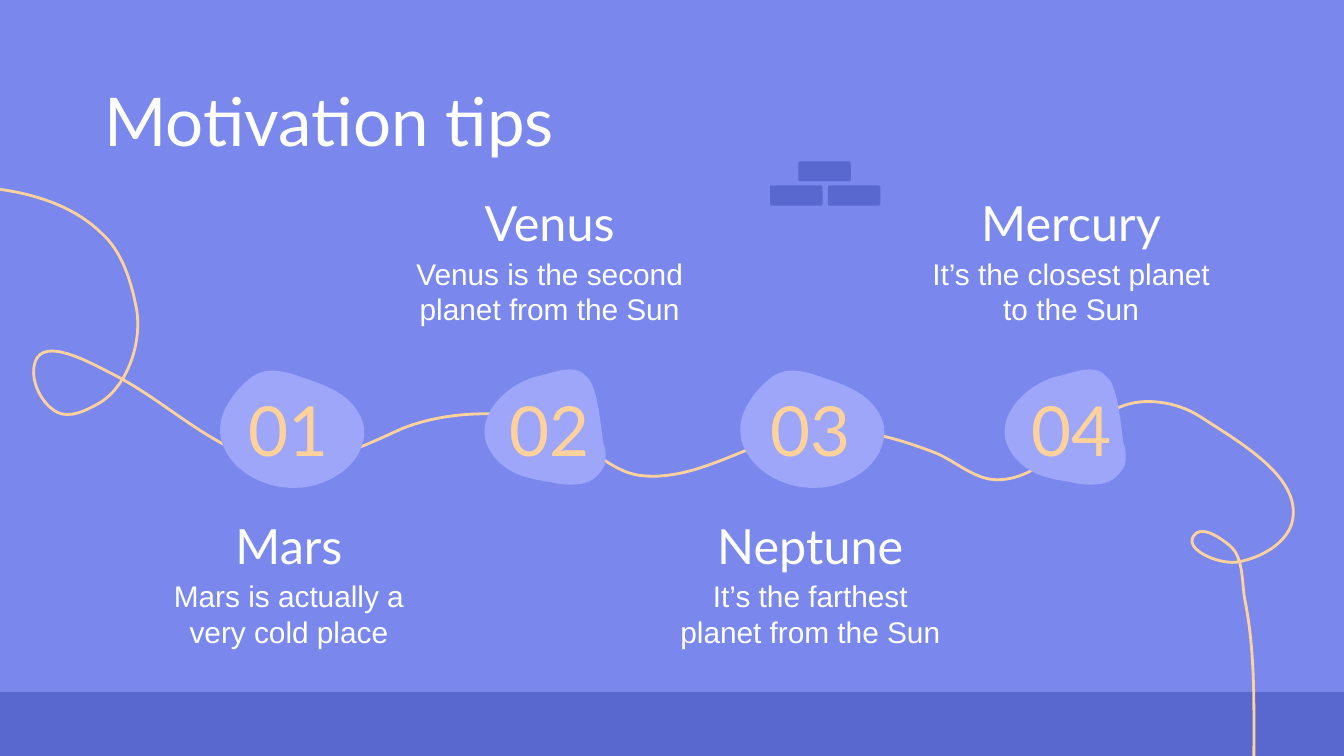
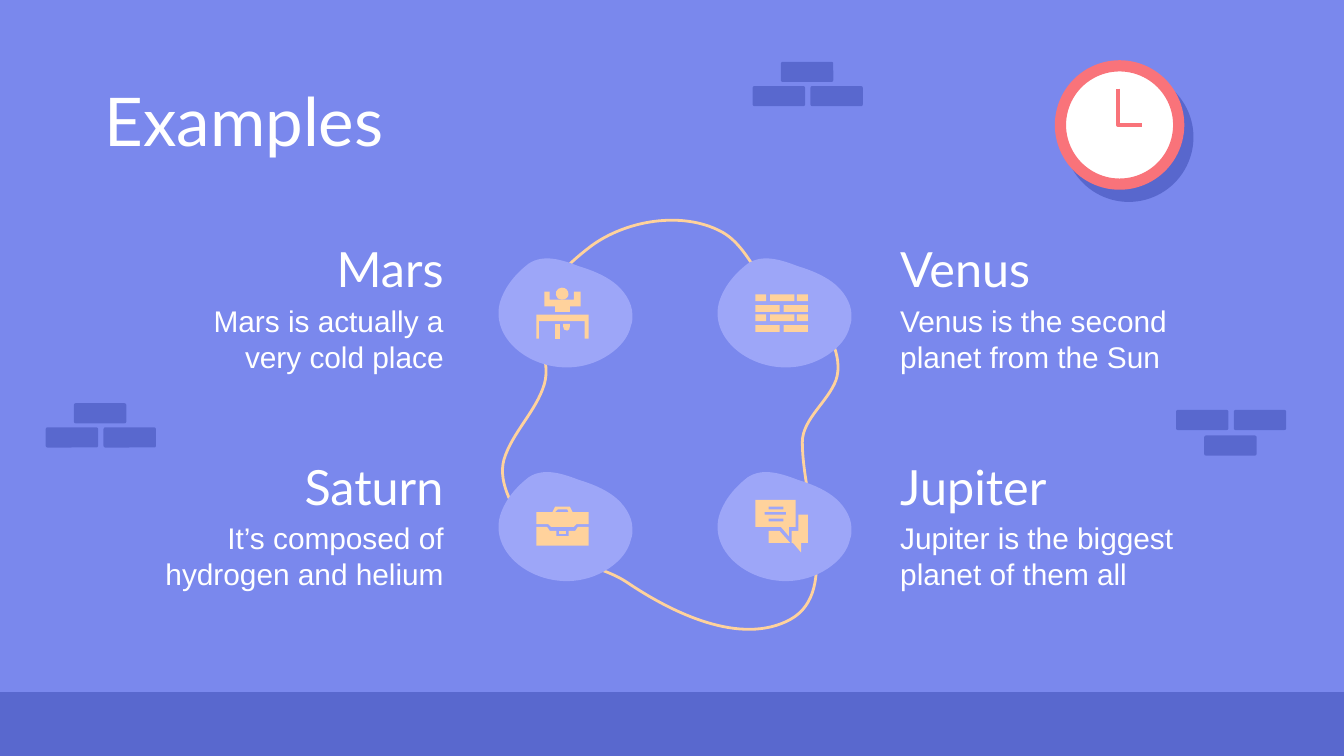
from lxml.etree import SubElement
from pptx import Presentation
from pptx.dml.color import RGBColor
from pptx.enum.shapes import MSO_SHAPE as SHAPE
from pptx.enum.text import MSO_ANCHOR as ANCHOR, PP_ALIGN as ALIGN
from pptx.oxml.ns import qn
from pptx.util import Inches, Pt

PERIWINKLE = RGBColor(0x7A, 0x88, 0xED)
INDIGO = RGBColor(0x3A, 0x4A, 0xB1)
LAVENDER = RGBColor(0x9D, 0xA6, 0xF8)
APRICOT = RGBColor(0xFF, 0xD2, 0x9C)
CORAL = RGBColor(0xF9, 0x73, 0x7A)
WHITE = RGBColor(0xFF, 0xFF, 0xFF)

TITLE = {"size": Pt(36), "name": "Lato"}
HEADING = {"size": Pt(26), "name": "Lato"}
NUMBER = {"size": Pt(37), "name": "Lato"}
BODY = {"size": Pt(16), "name": "Arial"}

# Outlines are flat x, y lists; curved ones hold a start and then Bezier triples.
OVAL_BLOB = [
    0, 0, -.1, .37, .46, .69, .87, .42, .96, .36, 1.03, .28, 1.05, .18,
    1.06, .16, 1.06, .13, 1.06, .1, 1.06, 0, .99, -.1, .91, -.16,
    .83, -.22, .73, -.26, .63, -.29, .5, -.34, .35, -.39, .23, -.31,
    .1, -.21, .03, -.1, 0, 0]
WEDGE_BLOB = [
    0, 0, -.02, -.02, -.03, -.03, -.05, -.05, -.14, -.12, -.29, -.05, -.39, -.03,
    -.64, .03, -.89, .3, -.74, .53, -.72, .57, -.68, .61, -.64, .64,
    -.54, .72, -.41, .74, -.28, .76, -.21, .78, -.14, .78, -.06, .77,
    .01, .76, .08, .7, .11, .63, .12, .58, .12, .52, .1, .47,
    .08, .36, .07, .13, 0, 0]
TIMELINE = [
    -.44, 1.38, -.03, 1.38, .45, 1.44, .75, 1.73, .9, 1.86, .97, 2.07, 1.01, 2.27,
    1.07, 2.53, .95, 2.89, .72, 3.01, .63, 3.06, .52, 3.11, .43, 3.07,
    .31, 3.01, .22, 2.83, .26, 2.7, .32, 2.49, .69, 2.71, .87, 2.8,
    1.23, 2.99, 1.54, 3.3, 1.93, 3.42, 2.27, 3.53, 2.66, 3.34, 2.99, 3.19,
    3.29, 3.07, 3.63, 3.06, 3.94, 3.1, 4.25, 3.14, 4.47, 3.51, 4.78, 3.54,
    5.2, 3.58, 5.58, 3.28, 6, 3.21, 6.32, 3.16, 6.65, 3.25, 6.96, 3.37,
    7.11, 3.43, 7.25, 3.57, 7.42, 3.57, 7.77, 3.57, 8.01, 3.18, 8.33, 3.03,
    8.51, 2.95, 8.76, 2.99, 8.93, 3.1, 9.22, 3.29, 9.71, 3.56, 9.61, 3.9,
    9.56, 4.05, 9.38, 4.15, 9.22, 4.18, 9.1, 4.21, 8.81, 4.1, 8.88, 3.99,
    8.93, 3.9, 9.08, 4, 9.15, 4.06, 9.25, 4.14, 9.24, 4.32, 9.26, 4.45,
    9.34, 4.84, 9.33, 5.23, 9.33, 5.63]
RING = [
    5.97, 2.34, 5.68, 2.28, 5.62, 1.85, 5.36, 1.72, 5.07, 1.57, 4.66, 1.64, 4.4, 1.83,
    4.23, 1.96, 4.04, 2.13, 4.01, 2.35, 3.99, 2.52, 4.1, 2.69, 4.05, 2.86,
    3.99, 3.06, 3.81, 3.22, 3.75, 3.42, 3.7, 3.6, 3.83, 3.8, 3.93, 3.95,
    4.08, 4.18, 4.43, 4.18, 4.66, 4.33, 5, 4.56, 5.51, 4.81, 5.88, 4.61,
    6.26, 4.4, 5.97, 3.73, 5.97, 3.29, 5.97, 3.12, 6.16, 2.99, 6.22, 2.83,
    6.28, 2.66, 6.16, 2.4, 5.99, 2.35]


def add_path(s, outlines, fill=None, line=None, width=1.5, curved=False,
             at=(0, 0), scale=1):
    """Draw outlines as one freeform, closed if it has a fill and open if not."""
    builder = None
    for flat in outlines:
        pts = [(Inches(at[0] + scale * x), Inches(at[1] + scale * y))
               for x, y in zip(flat[::2], flat[1::2])]
        if builder is None:
            builder = s.shapes.build_freeform(*pts[0])
        else:
            builder.move_to(*pts[0])
        builder.add_line_segments(pts[1:], close=fill is not None)
    sp = builder.convert_to_shape()
    sp.shadow.inherit = False
    if curved:
        segments = iter(sp._element.xpath(".//a:lnTo"))
        for triple in zip(segments, segments, segments):
            parent = triple[0].getparent()
            curve = SubElement(parent, qn("a:cubicBezTo"))
            triple[0].addprevious(curve)
            for segment in triple:
                curve.append(segment[0])
                parent.remove(segment)
    if fill is None:
        sp.fill.background()
    else:
        sp.fill.solid()
        sp.fill.fore_color.rgb = fill
    if line is None:
        sp.line.fill.background()
    else:
        sp.line.color.rgb = line
        sp.line.width = Pt(width)


def add_text(s, text, box, style, color=WHITE, align=ALIGN.LEFT, anchor=ANCHOR.TOP):
    tf = s.shapes.add_textbox(*map(Inches, box)).text_frame
    tf.word_wrap = True
    tf.vertical_anchor = anchor
    for side in ("left", "right", "top", "bottom"):
        setattr(tf, f"margin_{side}", Inches(.1))
    p = tf.paragraphs[0]
    p.alignment = align
    r = p.add_run()
    r.text = text
    for key, value in style.items():
        setattr(r.font, key, value)
    r.font.color.rgb = color


prs = Presentation()
prs.slide_width = Inches(10)
prs.slide_height = Inches(10) * 9 // 16
background = prs.slide_master.background.fill
background.solid()
background.fore_color.rgb = PERIWINKLE

# Title, then wall bricks as left edge, top of the single brick, top of the pair
pages = [
    ("Motivation tips", [(5.73, 1.2, 1.38)]),
    ("Examples", [(.34, 3, 3.18), (8.75, 3.24, 3.05), (5.6, .46, .64)]),
]
for title, walls in pages:
    s = prs.slides.add_slide(prs.slide_layouts[6])
    rects = [(SHAPE.RECTANGLE, -.02, 5.15, 10.04, .51)]
    for left, single, pair in walls:
        for dx, top in ((.21, single), (.43, pair), (0, pair)):
            rects.append((SHAPE.ROUNDED_RECTANGLE, left + dx, top, .39, .15))
    for kind, *box in rects:
        sp = s.shapes.add_shape(kind, *map(Inches, box))
        sp.shadow.inherit = False
        if kind == SHAPE.ROUNDED_RECTANGLE:
            sp.adjustments[0] = .09
        sp.fill.solid()
        sp.fill.fore_color.rgb = INDIGO
        SubElement(sp._element.xpath(".//a:srgbClr")[0], qn("a:alpha"), val="50000")
        sp.line.fill.background()
    add_text(s, title, (.68, .49, 8.64, .63), TITLE)
tips, examples = prs.slides

# Motivation tips: a timeline with text below and above in turn
add_path(tips, [TIMELINE], line=APRICOT, curved=True)
steps = [
    ("Mars", "Mars is actually a very cold place"),
    ("Venus", "Venus is the second planet from the Sun"),
    ("Neptune", "It’s the farthest planet from the Sun"),
    ("Mercury", "It’s the closest planet to the Sun"),
]
for i, (name, body) in enumerate(steps):
    cycle = 3.87 * (i // 2)
    if i % 2:
        blob, at, top = WEDGE_BLOB, (4.39 + cycle, 2.83), 1.46
    else:
        blob, at, top = OVAL_BLOB, (1.65 + cycle, 3.11), 3.86
    add_path(tips, [blob], LAVENDER, curved=True, at=at)
    add_text(tips, f"{i + 1:02}", (1.58 + 1.94 * i, 2.87, 1.14, .64), NUMBER,
             APRICOT, ALIGN.CENTER, ANCHOR.MIDDLE)
    left = 1 + 1.94 * i
    add_text(tips, name, (left, top, 2.3, .39), HEADING,
             align=ALIGN.CENTER, anchor=ANCHOR.MIDDLE)
    add_text(tips, body, (left, top + .34, 2.3, .63), BODY, align=ALIGN.CENTER)

# Examples: four blobs on a ring, text on the outer sides
add_path(examples, [RING], line=APRICOT, curved=True)
planets = [
    ("Mars", "Mars is actually a very cold place"),
    ("Venus", "Venus is the second planet from the Sun"),
    ("Saturn", "It’s composed of hydrogen and helium"),
    ("Jupiter", "Jupiter is the biggest planet of them all"),
]
for i, (name, body) in enumerate(planets):
    row, col = divmod(i, 2)
    add_path(examples, [OVAL_BLOB], LAVENDER, curved=True,
             at=(3.72 + 1.63 * col, 2.25 + 1.59 * row), scale=.93)
    left, top = 1.1 + 5.5 * col, 1.8 + 1.62 * row
    align = ALIGN.LEFT if col else ALIGN.RIGHT
    add_text(examples, name, (left, top, 2.3, .39), HEADING,
             align=align, anchor=ANCHOR.MIDDLE)
    add_text(examples, body, (left, top + .35, 2.3, .63), BODY, align=align)

brick_icon = []
wide_row = [(5.62, 5.8), (5.83, 6.01)]
split_row = [(5.62, 5.7), (5.73, 5.91), (5.93, 6.01)]
for y, row in zip((2.19, 2.27, 2.34, 2.42), (split_row, wide_row) * 2):
    for x1, x2 in row:
        brick_icon.append([x1, y, x2, y, x2, y + .05, x1, y + .05])

desk = [3.99, 2.34, 3.99, 2.52, 4.01, 2.52, 4.01, 2.39, 4.35, 2.39,
        4.35, 2.52, 4.38, 2.52, 4.38, 2.34]
leg = [4.13, 2.41, 4.13, 2.52, 4.17, 2.52, 4.17, 2.41]
arms = [4.05, 2.17, 4.05, 2.28, 4.13, 2.28, 4.13, 2.32, 4.24, 2.32, 4.24, 2.28,
        4.32, 2.28, 4.32, 2.17, 4.27, 2.17, 4.27, 2.23, 4.09, 2.23, 4.09, 2.17]
head = [4.18, 2.14, 4.14, 2.14, 4.12, 2.19, 4.15, 2.22, 4.16, 2.23, 4.17, 2.23, 4.18, 2.23,
        4.21, 2.23, 4.23, 2.21, 4.23, 2.19, 4.23, 2.16, 4.21, 2.14, 4.18, 2.14]
foot = [4.19, 2.41, 4.19, 2.42, 4.19, 2.43, 4.19, 2.43, 4.19, 2.45, 4.2, 2.46, 4.22, 2.46,
        4.23, 2.46, 4.24, 2.45, 4.24, 2.43, 4.24, 2.43, 4.24, 2.42, 4.24, 2.41]
clasp = [4.16, 3.95, 4.16, 3.97, 4.21, 3.97, 4.21, 3.95]
case_base = [3.99, 3.92, 3.99, 4.06, 4.38, 4.06, 4.38, 3.92, 4.3, 3.92, 4.28, 3.95,
             4.23, 3.95, 4.23, 3.99, 4.14, 3.99, 4.14, 3.95, 4.09, 3.95, 4.07, 3.92]
case_lid = [4.13, 3.77, 4.11, 3.81, 3.99, 3.81, 3.99, 3.9, 4.08, 3.9, 4.1, 3.92,
            4.27, 3.92, 4.29, 3.9, 4.38, 3.9, 4.38, 3.81, 4.26, 3.81, 4.24, 3.77]
handle_gap = [4.22, 3.79, 4.23, 3.81, 4.13, 3.81, 4.15, 3.79]
speech = [[5.62, 3.72, 5.62, 3.92, 5.81, 3.92, 5.87, 3.99, 5.87, 3.92, 5.92, 3.92, 5.92, 3.72]]
for x1, x2, y in ((5.72, 5.83, 3.77), (5.69, 5.85, 3.81), (5.72, 5.83, 3.86)):
    speech.append([x2, y, x2, y + .02, x1, y + .02, x1, y])
reply_base = [5.72, 3.95, 5.72, 4.04, 5.88, 4.04, 5.8, 3.95]
reply_side = [5.94, 3.83, 5.94, 3.95, 5.89, 3.95, 5.89, 4.04, 5.9, 4.04,
              5.96, 4.11, 5.96, 4.04, 6.01, 4.04, 6.01, 3.83]
for outlines in ([desk], [leg], [arms], brick_icon, [clasp], [case_base],
                 [case_lid, handle_gap], speech, [reply_base], [reply_side]):
    add_path(examples, outlines, APRICOT)
for outline in (head, foot):
    add_path(examples, [outline], APRICOT, curved=True)

clock = examples.shapes.add_shape(SHAPE.OVAL, *map(Inches, (7.89, .49, .88, .88)))
clock.fill.solid()
clock.fill.fore_color.rgb = WHITE
clock.line.color.rgb = CORAL
clock.line.width = Pt(6)
clock.shadow.inherit = False
effects = clock._element.spPr.find(qn("a:effectLst"))
shadow = SubElement(effects, qn("a:outerShdw"), blurRad="0", dist=str(Pt(8.2)),
                    dir=str(53 * 60000), algn="bl", rotWithShape="0")
shadow_color = SubElement(shadow, qn("a:srgbClr"), val=str(INDIGO))
SubElement(shadow_color, qn("a:alpha"), val="53000")
add_path(examples, [[8.32, .66, 8.32, .93, 8.5, .93]], line=CORAL, width=2.25)

prs.save("out.pptx")
